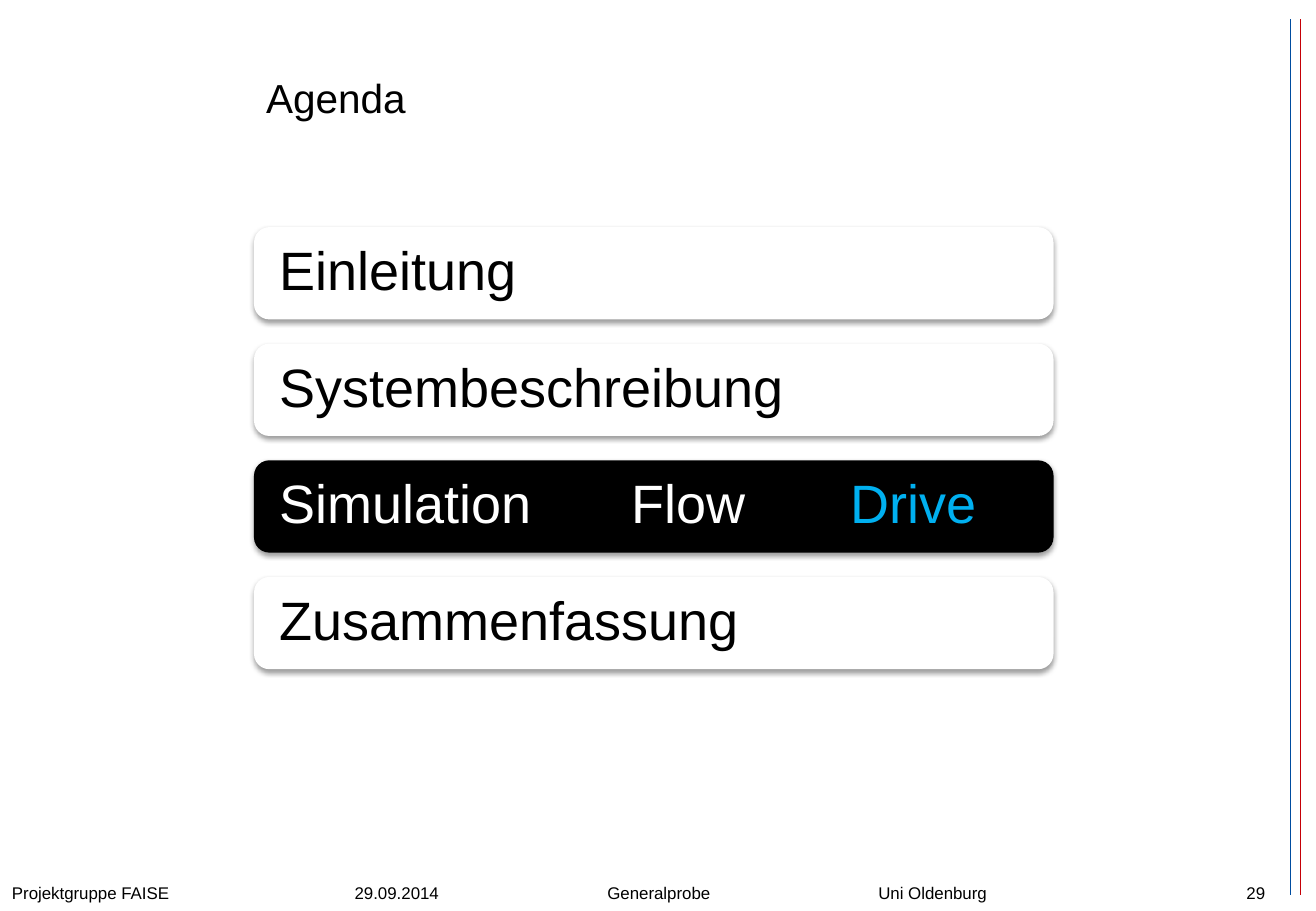
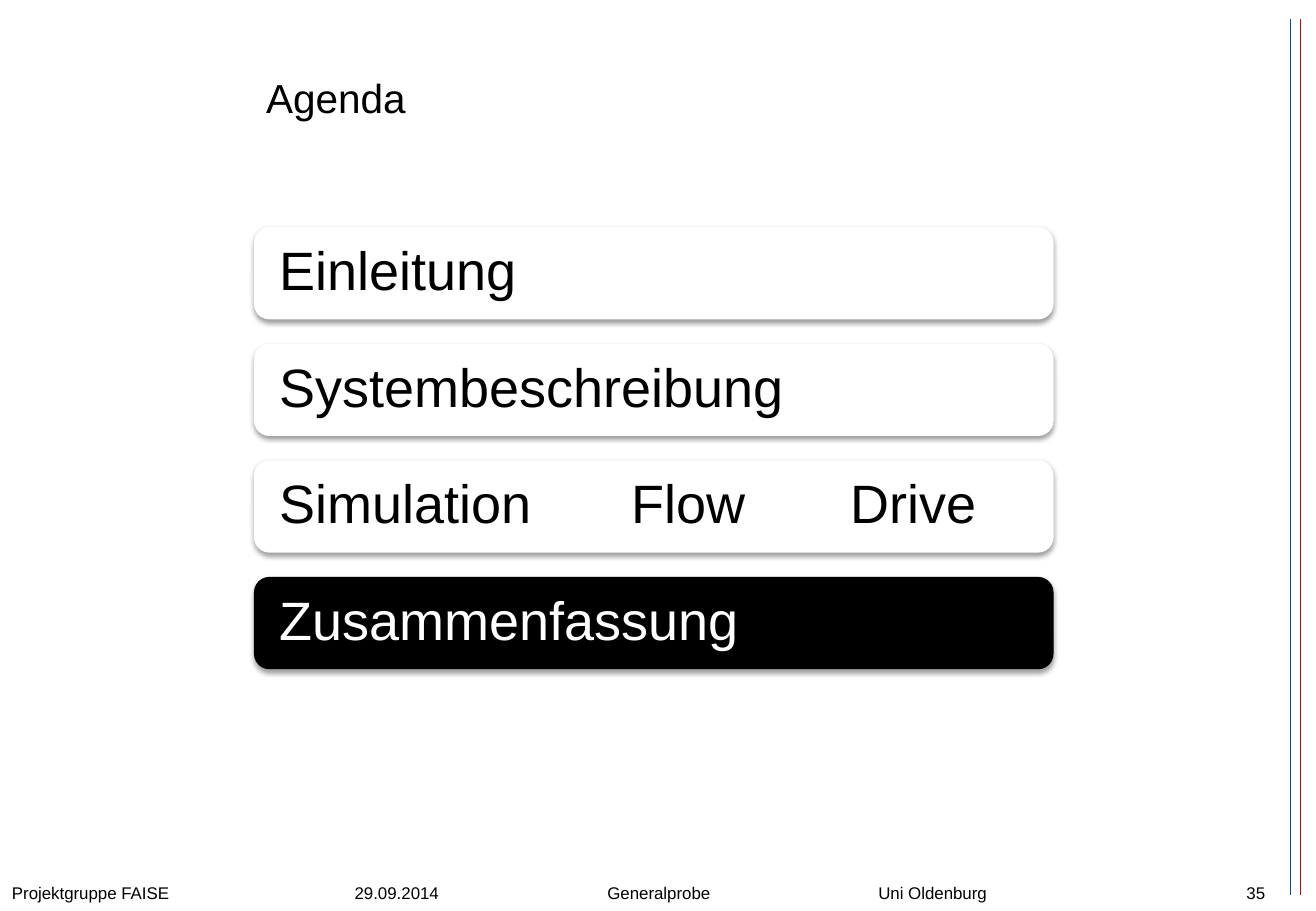
from lxml.etree import SubElement
from pptx import Presentation
from pptx.dml.color import RGBColor
from pptx.enum.shapes import MSO_CONNECTOR as Connector, MSO_SHAPE as Shape
from pptx.enum.text import MSO_ANCHOR as Anchor, PP_ALIGN as Align
from pptx.oxml.ns import qn
from pptx.util import Inches, Pt

COLORS = {
    "black": "000000",
    "white": "FFFFFF",
    "accent": "00B0F0",
    "red": "C50007",
    "blue": "004CA0",
}
FONT = "Arial"
FOOTER = ["Projektgruppe FAISE", "29.09.2014", "Generalprobe", "Uni Oldenburg"]
FOOTER_TABS = [2.82, 4.9, 7.13]
AGENDA = [
    ["Einleitung"],
    ["Systembeschreibung"],
    ["Simulation", "Flow", "Drive"],
    ["Zusammenfassung"],
]
AGENDA_TABS = [2.9, 4.7]
BAR_TOP, BAR_PITCH = 1.87, 0.96


def color(name):
    """Return the named colour."""
    return RGBColor.from_string(COLORS[name])


class AgendaDeck:
    """Holds the shared style and the current slide."""

    def __init__(self):
        """Start an empty presentation."""
        self.presentation = Presentation()
        self.presentation.slide_width = Inches(10.83)
        self.presentation.slide_height = Inches(7.5)
        self.slide = None

    def add_slide(self, title, number):
        """Add a slide with title, side lines and footer."""
        layout = self.presentation.slide_layouts[5]
        self.slide = self.presentation.slides.add_slide(layout)
        self.side_line(10.7, "red")
        self.side_line(10.62, "blue")
        self.title(title)
        self.footer_text(str(number), 7.98, 2.53, Align.RIGHT)
        paragraph = self.footer_text("\t".join(FOOTER), 0, 10.19, Align.LEFT)
        self.tabs(paragraph, FOOTER_TABS)

    def side_line(self, x, color_name):
        """Draw a thin vertical line."""
        line = self.slide.shapes.add_connector(
            Connector.STRAIGHT, Inches(x), Inches(0.16), Inches(x), Inches(7.37))
        line.line.color.rgb = color(color_name)
        line.line.width = Pt(0.25)
        SubElement(line._element.spPr, qn("a:effectLst"))

    def title(self, text):
        """Place and format the title."""
        shape = self.slide.shapes.title
        shape.left, shape.top = Inches(2.09), Inches(0.3)
        shape.width, shape.height = Inches(8.2), Inches(1.01)
        shape.text_frame.text = text
        shape.text_frame.vertical_anchor = Anchor.MIDDLE
        paragraph = shape.text_frame.paragraphs[0]
        paragraph.alignment = Align.LEFT
        self.format_run(paragraph.runs[0], 24)

    def footer_text(self, text, left, width, alignment):
        """Add a footer text and return its paragraph."""
        shape = self.slide.shapes.add_textbox(
            Inches(left), Inches(7.22), Inches(width), Inches(0.26))
        shape.text_frame.word_wrap = True
        shape.text_frame.text = text
        paragraph = shape.text_frame.paragraphs[0]
        paragraph.alignment = alignment
        self.format_run(paragraph.runs[0], 10)
        return paragraph

    def agenda(self, active, accent=None):
        """Stack the agenda bars, the active one inverted."""
        for index, parts in enumerate(AGENDA):
            self.bar(parts, BAR_TOP + index * BAR_PITCH, parts[0] == active, accent)

    def bar(self, parts, top, active, accent):
        """Add one rounded agenda bar with its text."""
        shape = self.slide.shapes.add_shape(
            Shape.ROUNDED_RECTANGLE, Inches(2.09), Inches(top), Inches(6.58), Inches(0.76))
        shape.fill.solid()
        shape.fill.fore_color.rgb = color("black" if active else "white")
        shape.line.fill.background()
        self.shadow(shape)
        frame = shape.text_frame
        frame.word_wrap = True
        frame.vertical_anchor = Anchor.MIDDLE
        frame.margin_left = frame.margin_right = Inches(0.17)
        frame.margin_top = frame.margin_bottom = Inches(0.13)
        paragraph = frame.paragraphs[0]
        paragraph.alignment = Align.LEFT
        paragraph.line_spacing = 0.9
        if len(parts) > 1:
            self.tabs(paragraph, AGENDA_TABS)
        for index, part in enumerate(parts):
            run = paragraph.add_run()
            run.text = "\t" + part if index else part
            text_color = "white" if active else "black"
            self.format_run(run, 32, "accent" if part == accent else text_color)

    @staticmethod
    def shadow(shape):
        """Give a shape a soft shadow below."""
        shape.shadow.inherit = False
        effects = shape._element.spPr.find(qn("a:effectLst"))
        outer = SubElement(effects, qn("a:outerShdw"), blurRad=str(Pt(3.1)),
                           dist=str(Pt(1.6)), dir="5400000", rotWithShape="0")
        tint = SubElement(outer, qn("a:srgbClr"), val=COLORS["black"])
        SubElement(tint, qn("a:alpha"), val="38000")

    @staticmethod
    def tabs(paragraph, positions):
        """Set left tab stops, in inches."""
        tab_list = SubElement(paragraph._p.get_or_add_pPr(), qn("a:tabLst"))
        for position in positions:
            SubElement(tab_list, qn("a:tab"), pos=str(Inches(position)), algn="l")

    @staticmethod
    def format_run(run, size, color_name="black"):
        """Set font, size and colour of a run."""
        run.font.name = FONT
        run.font.size = Pt(size)
        run.font.color.rgb = color(color_name)


def main():
    """Build and save both agenda slides."""
    deck = AgendaDeck()
    deck.add_slide("Agenda", 29)
    deck.agenda("Simulation", accent="Drive")
    deck.add_slide("Agenda", 35)
    deck.agenda("Zusammenfassung")
    deck.presentation.save("out.pptx")


if __name__ == "__main__":
    main()
